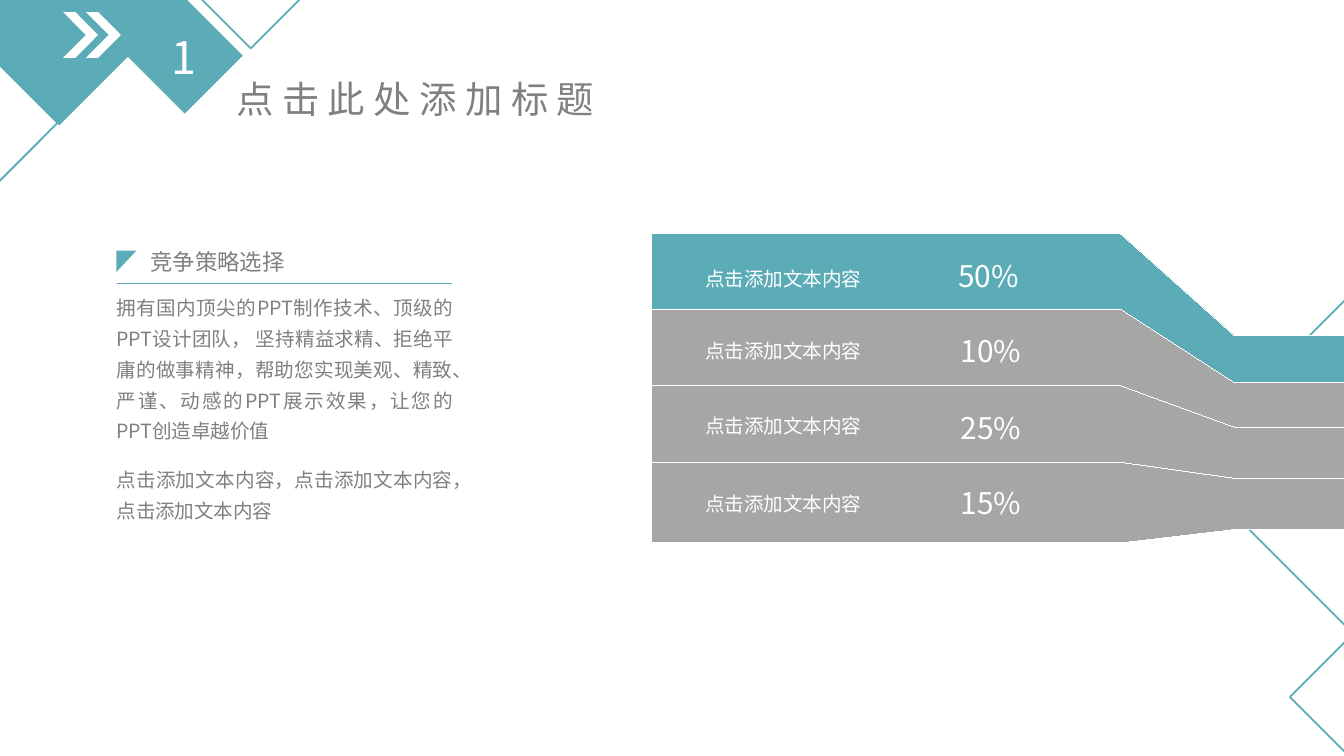
from typing import NamedTuple, Optional

from lxml.etree import SubElement
from pptx import Presentation
from pptx.dml.color import RGBColor
from pptx.enum.shapes import MSO_CONNECTOR, MSO_SHAPE as Shape
from pptx.enum.text import PP_ALIGN as Align
from pptx.oxml.ns import qn
from pptx.util import Inches, Pt

TEAL = RGBColor(0x5B, 0xAC, 0xB6)
GRAY = RGBColor(0xA6, 0xA6, 0xA6)
TEXT_GRAY = RGBColor(0x80, 0x80, 0x80)
WHITE = RGBColor(0xFF, 0xFF, 0xFF)
FONT = "Noto Sans CJK SC"
LABEL = "点击添加文本内容"
SLIDE_WIDTH = 10
BAND_X = (4.85, 8.34, 9.19, 10.02)


class Box(NamedTuple):
    left: float
    top: float
    width: float
    height: float


class Block(NamedTuple):
    box: Box
    kind: Shape = Shape.RECTANGLE
    fill: Optional[RGBColor] = None
    rotation: float = 45
    adj: Optional[float] = None


class Label(NamedTuple):
    box: Box
    text: str
    size: float
    color: RGBColor
    align: Align = Align.JUSTIFY
    leading: Optional[float] = 16.5
    spacing: float = 0


class Band(NamedTuple):
    left_edges: tuple[float, float]
    right_edges: tuple[float, float]
    fill: RGBColor
    label_box: Box
    value_box: Box
    value: str


CORNERS = [
    Block(Box(-0.22, -0.66, 1.32, 1.32), fill=TEAL),
    Block(Box(-0.96, 0.34, 1.32, 0.74)),
    Block(Box(10.18, 3.78, 2.83, 2.82)),
    Block(Box(9.2, 2.47, 1.81, 1.89)),
    Block(Box(1.07, 0.11, 0.61, 0.61), fill=TEAL),
]
HEADER = [
    Label(Box(1.18, 0.17, 0.38, 0.5), "1", 24, WHITE, Align.LEFT, None, 4.5),
    Label(Box(1.66, 0.52, 3.02, 0.44), "点击此处添加标题", 20, TEXT_GRAY, Align.LEFT, None, 4.5),
]
ORNAMENTS = [
    Block(Box(0.64, 0.09, 0.26, 0.34), Shape.CHEVRON, WHITE, 0, 0.65),
    Block(Box(0.47, 0.09, 0.26, 0.34), Shape.CHEVRON, WHITE, 0, 0.65),
    Block(Box(0.56, -2.21, 2.37, 2.03)),
]
NOTE = Label(Box(0.77, 3.38, 2.7, 0.56), "，".join([LABEL] * 3), 10.5, TEXT_GRAY)
BANDS = [
    Band((1.74, 2.3), (2.5, 2.85), TEAL,
         Box(5.15, 1.88, 1.66, 0.34), Box(6.86, 1.87, 0.99, 0.37), "50%"),
    Band((2.3, 2.87), (2.85, 3.2), GRAY,
         Box(5.15, 2.42, 1.66, 0.31), Box(6.88, 2.43, 0.99, 0.37), "10%"),
    Band((2.87, 3.44), (3.18, 3.56), GRAY,
         Box(5.15, 2.98, 1.66, 0.31), Box(6.88, 3, 0.99, 0.37), "25%"),
    Band((3.44, 4.04), (3.56, 3.94), GRAY,
         Box(5.15, 3.56, 1.66, 0.31), Box(6.88, 3.56, 0.99, 0.37), "15%"),
]
STRATEGY = [
    Label(
        Box(0.77, 2.1, 2.7, 1.29),
        "拥有国内顶尖的PPT制作技术、顶级的PPT设计团队， 坚持精益求精、拒绝平庸的做事精神，"
        "帮助您实现美观、精致、严谨、动感的PPT展示效果，让您的PPT创造卓越价值",
        10.5,
        TEXT_GRAY,
    ),
    Label(Box(1.02, 1.77, 1.35, 0.34), "竞争策略选择", 12, TEXT_GRAY),
]
MARKER = Block(Box(0.86, 1.87, 0.16, 0.15), Shape.RIGHT_TRIANGLE, TEAL, 90)


def add_block(shapes, block: Block) -> None:
    sp = shapes.add_shape(block.kind, *map(Inches, block.box))
    sp.shadow.inherit = False
    sp.rotation = block.rotation
    if block.adj is not None:
        sp.adjustments[0] = block.adj
    if block.fill is None:
        sp.fill.background()
        sp.line.color.rgb = TEAL
        sp.line.width = Pt(1)
    else:
        sp.fill.solid()
        sp.fill.fore_color.rgb = block.fill
        sp.line.fill.background()


def add_label(shapes, label: Label) -> None:
    tf = shapes.add_textbox(*map(Inches, label.box)).text_frame
    tf.word_wrap = True
    p = tf.paragraphs[0]
    p.alignment = label.align
    if label.leading:
        p.line_spacing = Pt(label.leading)
    r = p.add_run()
    r.text = label.text
    r.font.size = Pt(label.size)
    r.font.color.rgb = label.color
    r.font.name = FONT
    props = r.font._element
    SubElement(props, qn("a:ea")).set("typeface", FONT)
    if label.spacing:
        props.set("spc", str(round(label.spacing * 100)))


def add_band(shapes, band: Band) -> None:
    start, bend, level, end = BAND_X
    (left_top, left_bottom), (right_top, right_bottom) = band.left_edges, band.right_edges
    outline = [
        (start, left_top), (bend, left_top), (level, right_top), (end, right_top),
        (end, right_bottom), (level, right_bottom), (bend, left_bottom), (start, left_bottom),
    ]
    points = [(Inches(x), Inches(y)) for x, y in outline]
    builder = shapes.build_freeform(*points[0])
    builder.add_line_segments(points[1:], close=True)
    sp = builder.convert_to_shape()
    sp.shadow.inherit = False
    sp.fill.solid()
    sp.fill.fore_color.rgb = band.fill
    sp.line.color.rgb = WHITE
    sp.line.width = Pt(0.01)
    add_label(shapes, Label(band.label_box, LABEL, 10.5, WHITE))
    add_label(shapes, Label(band.value_box, band.value, 16, WHITE, Align.CENTER, None))


def add_rule(shapes, left: float, right: float, y: float) -> None:
    line = shapes.add_connector(
        MSO_CONNECTOR.STRAIGHT, Inches(left), Inches(y), Inches(right), Inches(y)
    )
    line.line.color.rgb = TEAL
    line.line.width = Pt(0.25)
    SubElement(line._element.spPr, qn("a:effectLst"))


def main() -> None:
    prs = Presentation()
    prs.slide_width = Inches(SLIDE_WIDTH)
    prs.slide_height = Inches(SLIDE_WIDTH * 9 / 16)
    shapes = prs.slides.add_slide(prs.slide_layouts[6]).shapes
    for block in CORNERS:
        add_block(shapes, block)
    for label in HEADER:
        add_label(shapes, label)
    for block in ORNAMENTS:
        add_block(shapes, block)
    add_label(shapes, NOTE)
    for band in BANDS:
        add_band(shapes, band)
    add_rule(shapes, 0.87, 3.36, 2.11)
    for label in STRATEGY:
        add_label(shapes, label)
    add_block(shapes, MARKER)
    prs.save("out.pptx")


if __name__ == "__main__":
    main()
